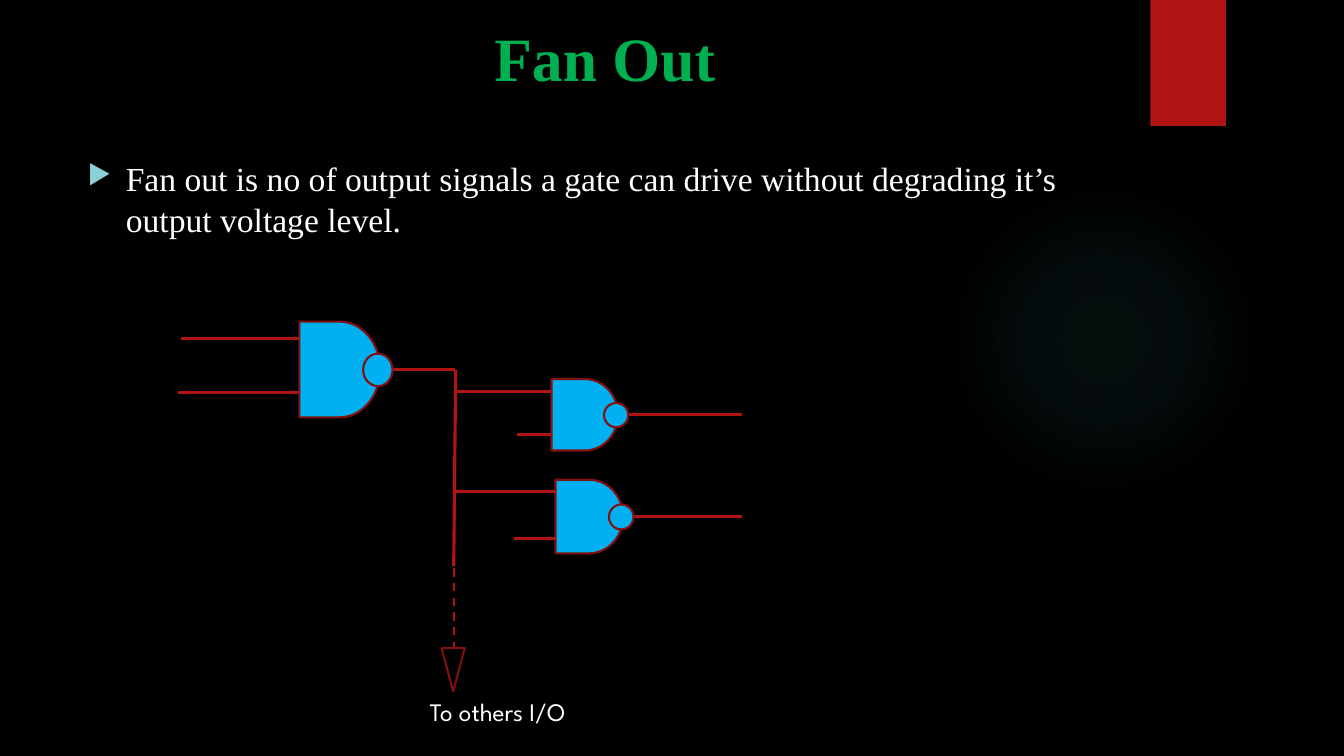
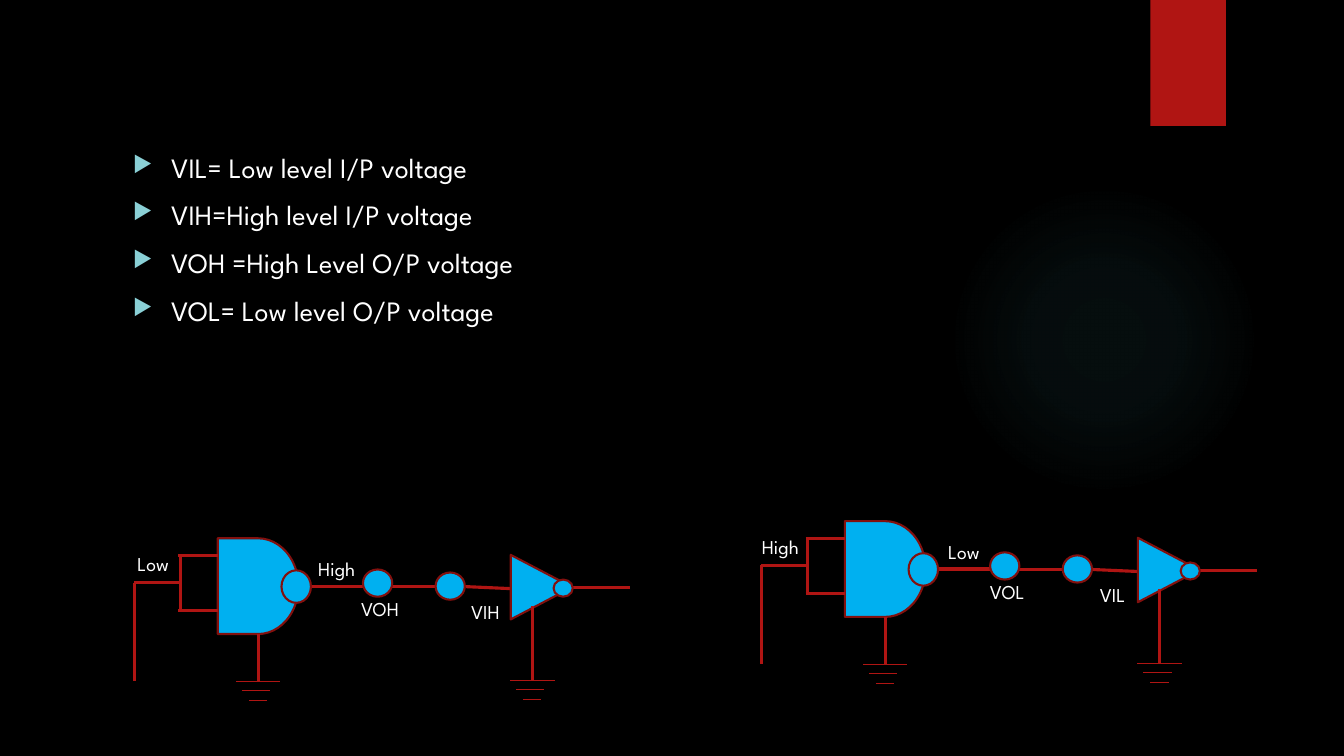
from dataclasses import dataclass

from lxml.etree import SubElement
from pptx import Presentation
from pptx.dml.color import RGBColor
from pptx.enum.dml import MSO_LINE
from pptx.enum.shapes import MSO_CONNECTOR, MSO_SHAPE
from pptx.enum.text import MSO_ANCHOR, PP_ALIGN
from pptx.oxml import parse_xml
from pptx.oxml.ns import nsdecls, qn
from pptx.util import Inches, Pt


@dataclass(frozen=True)
class Theme:
    background: str = "000000"
    text: str = "FFFFFF"
    title: str = "00B050"
    bullet: str = "8AD0D6"
    accent: str = "B01513"
    outline: str = "82100E"
    gate: str = "00B0F0"
    glow: str = "50B9C1"
    sans: str = "League Spartan"
    serif: str = "Times New Roman"
    title_size: int = 44
    lead_size: int = 24
    list_size: int = 20
    caption_size: int = 18
    label_size: int = 14
    wire: float = 2.25
    edge: float = 1.5
    hairline: float = 0.75


THEME = Theme()


def rgb(value):
    return RGBColor.from_string(value)


def apply(target, formats):
    for attribute, value in formats.items():
        setattr(target, attribute, value)


class Region:
    """Draws symbols at positions relative to its own top left corner."""

    def __init__(self, slide, left=0, top=0):
        self.shapes = slide.shapes
        self.left, self.top = left, top

    def place(self, x, y):
        return Inches(self.left + x), Inches(self.top + y)

    def symbol(self, preset, x, y, w, h, fill=THEME.gate, edge=THEME.outline, turn=0):
        symbol = self.shapes.add_shape(preset, *self.place(x, y), Inches(w), Inches(h))
        symbol.shadow.inherit = False
        symbol.rotation = turn
        symbol.fill.solid()
        symbol.fill.fore_color.rgb = rgb(fill)
        if edge:
            symbol.line.color.rgb = rgb(edge)
            symbol.line.width = Pt(THEME.edge)
        else:
            symbol.line.fill.background()
        return symbol

    def wire(self, start, end, width=THEME.wire, dash=None):
        wire = self.shapes.add_connector(
            MSO_CONNECTOR.STRAIGHT, *self.place(*start), *self.place(*end))
        wire.line.color.rgb = rgb(THEME.accent)
        wire.line.width = Pt(width)
        if dash:
            wire.line.dash_style = dash
        SubElement(wire._element.spPr, qn("a:effectLst"))

    def text(self, lines, x, y, w, h, size, font=THEME.sans, color=THEME.text,
             bold=False, align=PP_ALIGN.CENTER, anchor=MSO_ANCHOR.MIDDLE):
        frame = self.shapes.add_textbox(
            *self.place(x, y), Inches(w), Inches(h)).text_frame
        apply(frame, {"word_wrap": True, "vertical_anchor": anchor})
        frame.text = "\n".join(lines)
        for paragraph in frame.paragraphs:
            paragraph.alignment = align
            apply(paragraph.runs[0].font, {"name": font, "size": Pt(size), "bold": bold})
            paragraph.runs[0].font.color.rgb = rgb(color)
        return frame


# Shared slide parts
def add_glow(region):
    glow = region.symbol(MSO_SHAPE.OVAL, 9.41, 1.83, 3.08, 3.08, edge=None)
    stops = "".join(
        f'<a:gs pos="{pos}000"><a:srgbClr val="{THEME.glow}">'
        f'<a:alpha val="{alpha}000"/></a:srgbClr></a:gs>'
        for pos, alpha in ((0, 7), (36, 6), (69, 0)))
    gradient = parse_xml(
        f'<a:gradFill {nsdecls("a")}><a:gsLst>{stops}</a:gsLst><a:path path="circle">'
        '<a:fillToRect l="50000" t="50000" r="50000" b="50000"/></a:path></a:gradFill>')
    properties = glow._element.spPr
    properties.replace(properties.find(qn("a:solidFill")), gradient)


def new_slide(deck):
    slide = deck.slides.add_slide(deck.slide_layouts[6])
    slide.background.fill.solid()
    slide.background.fill.fore_color.rgb = rgb(THEME.background)
    page = Region(slide)
    add_glow(page)
    page.symbol(MSO_SHAPE.RECTANGLE, 11.41, 0, 0.75, 1.25, THEME.accent, edge=None)
    return slide, page


def add_title(page, title):
    page.text([title], 0.77, 0.14, 10.46, 0.84, THEME.title_size, THEME.serif,
              THEME.title, bold=True, anchor=MSO_ANCHOR.BOTTOM)


def add_bullets(page, lines, box, size, font):
    frame = page.text(lines, *box, size, font, align=PP_ALIGN.LEFT, anchor=MSO_ANCHOR.TOP)
    for paragraph in frame.paragraphs:
        paragraph.space_before = Pt(10)
        properties = paragraph._p.get_or_add_pPr()
        properties.set("marL", str(Inches(0.38)))
        properties.set("indent", str(-Inches(0.38)))
        color = SubElement(properties, qn("a:buClr"))
        SubElement(color, qn("a:srgbClr"), val=THEME.bullet)
        SubElement(properties, qn("a:buSzPct"), val="80000")
        SubElement(properties, qn("a:buChar"), char="▶")


# Circuit parts
def add_nand(region, x, y, w, h, inputs, output_end):
    """inputs holds the outer point of each input wire."""
    region.symbol(MSO_SHAPE.FLOWCHART_DELAY, x, y, w, h)
    for start in inputs:
        region.wire(start, (x, start[1]))
    middle = y + h / 2
    region.wire((x + 0.9 * w, middle), (output_end, middle))
    region.symbol(MSO_SHAPE.OVAL, x + 0.79 * w, y + 0.335 * h, 0.365 * w, 0.34 * h)


def add_ground(region, x, top, bottom):
    region.wire((x, top), (x, bottom))
    for step, (left, right) in enumerate(((0.22, 0.22), (0.16, 0.12), (0.09, 0.09))):
        y = bottom + 0.095 * step
        region.wire((x - left, y), (x + right, y), THEME.hairline)


def add_fan_out(region):
    # Driving gate and the two driven gates
    add_nand(region, 1.2, 0, 0.8, 0.95, [(0.03, 0.17), (0, 0.7)], 2.74)
    add_nand(region, 3.7, 0.57, 0.66, 0.71, [(2.75, 0.69), (3.36, 1.12)], 5.59)
    add_nand(region, 3.74, 1.57, 0.67, 0.73, [(2.75, 1.69), (3.33, 2.15)], 5.59)
    # Bus leading on to other loads
    region.wire((2.73, 2.43), (2.75, 0.48))
    region.wire((2.73, 2.3), (2.73, 3.34), THEME.edge, MSO_LINE.DASH)
    region.symbol(MSO_SHAPE.ISOSCELES_TRIANGLE, 2.61, 3.24, 0.23, 0.43,
                  THEME.background, turn=180)
    region.text(["To others I/O"], 1.84, 3.64, 2.65, 0.46, THEME.caption_size)


def add_level_circuit(region, input_level, output_level, driver, receiver):
    # Gate with joined inputs
    add_nand(region, 1.08, 0, 0.8, 0.95, [(0.69, 0.17), (0.69, 0.72)], 2.63)
    for start, end in (((0.71, 0.17), (0.71, 0.72)),
                       ((0.25, 0.44), (0.71, 0.44)),
                       ((0.25, 0.44), (0.25, 1.42)),
                       ((2.72, 0.48), (3.3, 0.48)),
                       ((3.54, 0.48), (3.99, 0.5)),
                       ((4.58, 0.49), (5.17, 0.49))):
        region.wire(start, end)
    # Measuring points
    for x, y in ((2.52, 0.31), (3.24, 0.34)):
        region.symbol(MSO_SHAPE.OVAL, x, y, 0.29, 0.27)
    # Inverter
    region.symbol(MSO_SHAPE.ISOSCELES_TRIANGLE, 3.97, 0.18, 0.64, 0.61, turn=90)
    region.symbol(MSO_SHAPE.OVAL, 4.41, 0.41, 0.19, 0.17)
    add_ground(region, 1.48, 0.95, 1.42)
    add_ground(region, 4.2, 0.67, 1.41)
    # Voltage labels
    for label, box in ((input_level, (0, 0.03, 0.88, 0.44)),
                       (output_level, (1.82, 0.08, 0.88, 0.44)),
                       (driver, (2.25, 0.48, 0.88, 0.44)),
                       (receiver, (3.37, 0.59, 0.73, 0.28))):
        region.text([label], *box, THEME.label_size)


# Slides
def fan_out_slide(deck):
    slide, page = new_slide(deck)
    add_title(page, "Fan Out")
    add_bullets(page, ["Fan out is no of output signals a gate can drive "
                       "without degrading it’s output voltage level."],
                (0.77, 1.52, 10.56, 4.68), THEME.lead_size, THEME.serif)
    add_fan_out(Region(slide, 1.77, 3.19))


def voltage_levels_slide(deck):
    slide, page = new_slide(deck)
    add_bullets(page, ["VIL= Low level I/P voltage",
                       "VIH=High level I/P voltage",
                       "VOH =High Level O/P voltage",
                       "VOL= Low level O/P voltage"],
                (1.22, 1.44, 9.77, 5.39), THEME.list_size, THEME.sans)
    add_level_circuit(Region(slide, 1.08, 5.34), "Low", "High", "VOH", "VIH")
    add_level_circuit(Region(slide, 7.3, 5.17), "High", "Low", "VOL", "VIL")


def main():
    deck = Presentation()
    apply(deck, {"slide_width": Inches(13.33), "slide_height": Inches(7.5)})
    fan_out_slide(deck)
    voltage_levels_slide(deck)
    deck.save("out.pptx")


if __name__ == "__main__":
    main()
